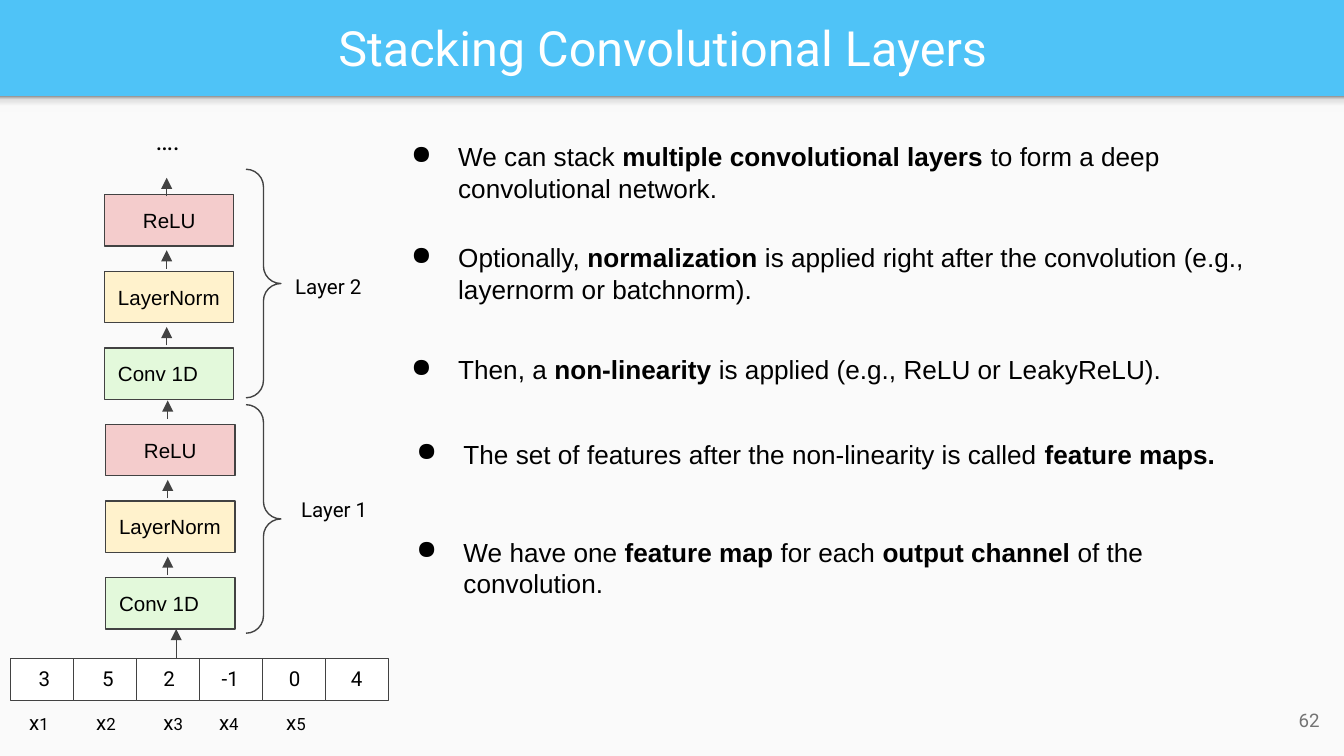
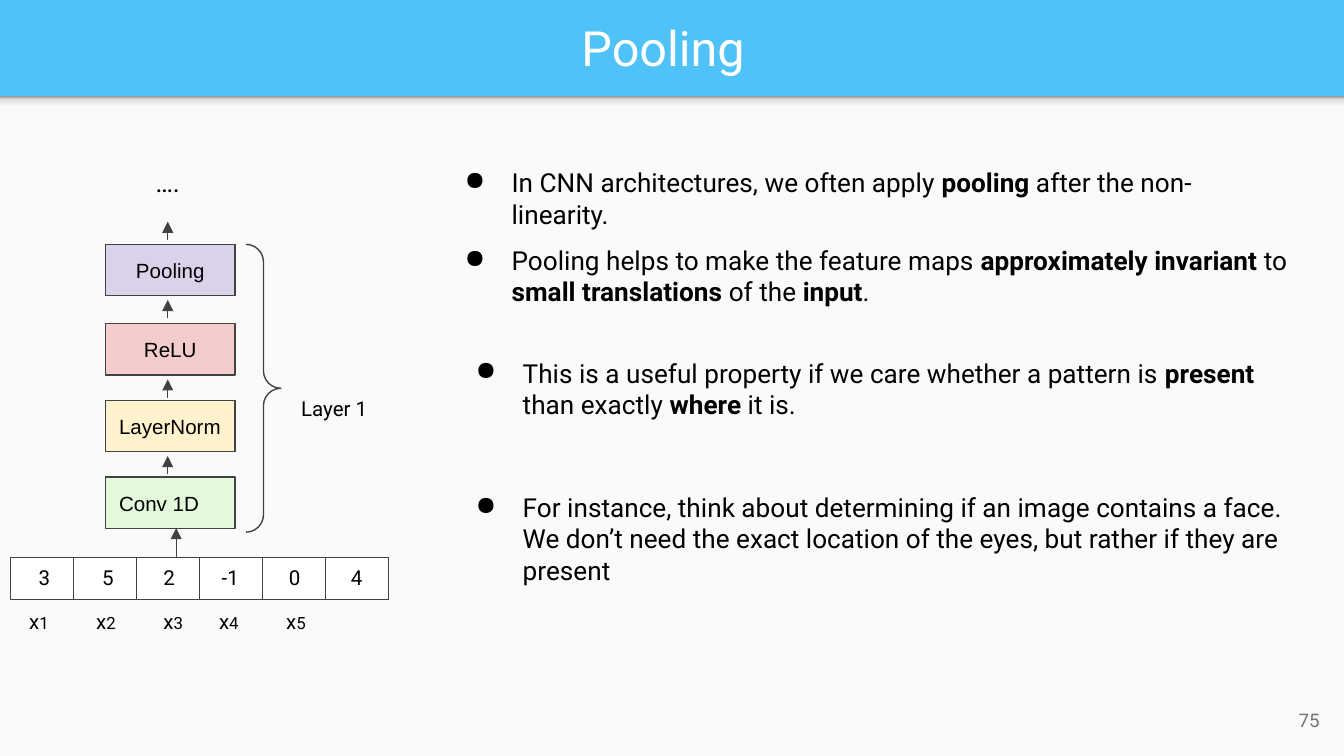
"""Build two slides on stacking convolutional layers and pooling."""
import dataclasses

import lxml.etree
import pptx
import pptx.dml.color
import pptx.enum.shapes
import pptx.enum.text
import pptx.oxml.ns
import pptx.util

Cm = pptx.util.Cm
Pt = pptx.util.Pt
RGB = pptx.dml.color.RGBColor.from_string
SHAPE = pptx.enum.shapes.MSO_SHAPE
ALIGN = pptx.enum.text.PP_ALIGN
ANCHOR = pptx.enum.text.MSO_ANCHOR
FIT = pptx.enum.text.MSO_AUTO_SIZE
qn = pptx.oxml.ns.qn


@dataclasses.dataclass(frozen=True)
class Theme:
    """Colours, fonts and type sizes shared by the slides."""
    band: str = "4FC3F7"
    page: str = "FAFAFA"
    ink: str = "000000"
    line: str = "424242"
    white: str = "FFFFFF"
    muted: str = "737373"
    conv: str = "E3F9DB"
    norm: str = "FFF2CC"
    relu: str = "F4CCCC"
    pool: str = "D9D2E9"
    shade: tuple = ((0, "F9F9F9"), (36, "F9F9F9"), (80, "DEDEDE"), (100, "999999"))
    sans: str = "Roboto"
    plain: str = "Arial"
    title: int = 26
    body: int = 14
    label: int = 11
    number: int = 10
    index: int = 9
    stroke: float = 0.75


T = Theme()
BLOCKS = {
    "Conv 1D": (T.conv, ALIGN.LEFT),
    "LayerNorm": (T.norm, ALIGN.LEFT),
    "ReLU": (T.relu, ALIGN.CENTER),
    "Pooling": (T.pool, ALIGN.CENTER),
}
CONV_LAYER = ("Conv 1D", "LayerNorm", "ReLU")
BLOCK_W, BLOCK_H, BLOCK_STEP = 2.44, 0.97, 1.45
CELL_LEFT, CELL_W, CELL_H = 0.2, 1.19, 0.79
VALUES = (("3", 0.48, 0.66), ("5", 1.68, 0.66), ("2", 2.84, 0.66),
          ("-1", 3.94, 0.91), ("0", 5.21, 0.91), ("4", 6.38, 0.91))
INDICES = (("1", 0.3, 1.37), ("2", 1.57, 0.91), ("3", 2.84, 1.37),
           ("4", 3.89, 1.37), ("5", 5.16, 1.37))


def apply(obj, formats):
    """Set each attribute named in formats."""
    for name, value in formats.items():
        setattr(obj, name, value)


def place(left, top, width, height):
    """Convert a box in centimetres to lengths."""
    return [Cm(v) for v in (left, top, width, height)]


def write(tf, runs, size=T.label, font=T.sans, color=T.ink, align=ALIGN.LEFT,
          anchor=ANCHOR.TOP, fit=FIT.NONE):
    """Fill a text frame with one paragraph of (text, formats) runs."""
    margins = dict.fromkeys(("margin_left", "margin_top", "margin_right",
                             "margin_bottom"), Cm(0.25))
    apply(tf, {"word_wrap": True, "auto_size": fit, "vertical_anchor": anchor, **margins})
    p = tf.paragraphs[0]
    p.alignment = align
    for text, formats in runs:
        r = p.add_run()
        r.text = text
        apply(r.font, {"name": font, "size": Pt(size), **formats})
        r.font.color.rgb = RGB(color)


def add_text(s, box, runs, **style):
    """Add a text box that grows with its text."""
    sp = s.shapes.add_textbox(*place(*box))
    write(sp.text_frame, runs, **{"fit": FIT.SHAPE_TO_FIT_TEXT, **style})
    return sp


def add_box(s, box, fill=None, line=T.line, kind=SHAPE.RECTANGLE):
    """Add a flat preset shape."""
    sp = s.shapes.add_shape(kind, *place(*box))
    sp.shadow.inherit = False
    if fill:
        sp.fill.solid()
        sp.fill.fore_color.rgb = RGB(fill)
    else:
        sp.fill.background()
    if line:
        sp.line.color.rgb = RGB(line)
        sp.line.width = Pt(T.stroke)
    else:
        sp.line.fill.background()
    return sp


def add_arrow(s, x, start, end):
    """Add a vertical arrow pointing at end."""
    sp = s.shapes.add_connector(pptx.enum.shapes.MSO_CONNECTOR.STRAIGHT,
                                Cm(x), Cm(start), Cm(x), Cm(end))
    sp.line.color.rgb = RGB(T.line)
    sp.line.width = Pt(T.stroke)
    ln = sp.line._get_or_add_ln()
    lxml.etree.SubElement(ln, qn("a:tailEnd"), type="triangle")
    lxml.etree.SubElement(sp._element.spPr, qn("a:effectLst"))


def add_brace(s, top, height):
    """Add a right brace that spans one layer."""
    sp = add_box(s, (4.65, top, 0.66, height), kind=SHAPE.RIGHT_BRACE)
    sp.adjustments[0] = 0.5
    sp.adjustments[1] = 0.5


def add_blocks(s, names, left, top, exit_gap):
    """Stack blocks upwards from top, with an arrow leaving each one."""
    for i, name in enumerate(names):
        y = top - i * BLOCK_STEP
        fill, align = BLOCKS[name]
        sp = add_box(s, (left, y, BLOCK_W, BLOCK_H), fill)
        write(sp.text_frame, [(name, {})], font=T.plain, align=align, anchor=ANCHOR.MIDDLE)
        start = y - (exit_gap if i == len(names) - 1 else 0.05)
        add_arrow(s, left + 1.17, start, start - 0.35)


def add_input(s, top):
    """Draw the input cells, their values and their indices."""
    add_arrow(s, 3.33, top + 0.05, top - 0.56)
    for i in range(len(VALUES)):
        add_box(s, (CELL_LEFT + i * CELL_W, top, CELL_W, CELL_H), T.white)
    for value, left, width in VALUES:
        add_text(s, (left, top - 0.1, width, 0.99), [(value, {})])
    for index, left, width in INDICES:
        add_text(s, (left, top + 0.74, width, 0.99),
                 [("x", {}), (index, {"size": Pt(T.index)})])


def add_layer_label(s, text, left, top):
    """Name a layer beside its brace."""
    add_text(s, (left, top, 2.2, 0.99), [(text, {})])


def add_dots(s, top):
    """Show that the stack goes on."""
    add_text(s, (2.69, top, 1.65, 1.12), [("….", {})], size=T.body)


def add_bullet(s, box, text, font):
    """Add one bullet; text between asterisks is bold."""
    runs = [(part, {"bold": i % 2 == 1})
            for i, part in enumerate(text.split("*")) if part]
    sp = add_text(s, box, runs, size=T.body, font=font)
    pPr = sp.text_frame.paragraphs[0]._p.get_or_add_pPr()
    pPr.set("marL", str(Cm(1.27)))
    pPr.set("indent", str(Cm(-0.89)))
    clr = lxml.etree.SubElement(pPr, qn("a:buClr"))
    lxml.etree.SubElement(clr, qn("a:srgbClr"), val=T.ink)
    lxml.etree.SubElement(pPr, qn("a:buChar"), char="●")


def add_shade(s):
    """Add the soft shadow below the title band."""
    sp = add_box(s, (0, 1.82, 25.4, 0.3), line=None)
    sp.fill.gradient()
    sp.fill.gradient_angle = 90
    stops = sp._element.spPr.find(".//" + qn("a:gsLst"))
    for stop in list(stops):
        stops.remove(stop)
    for percent, color in T.shade:
        gs = lxml.etree.SubElement(stops, qn("a:gs"), pos=str(percent * 1000))
        lxml.etree.SubElement(gs, qn("a:srgbClr"), val=color)


def new_slide(prs, title, number):
    """Add a slide with its band, title and number."""
    s = prs.slides.add_slide(prs.slide_layouts[5])
    add_box(s, (0, 1.82, 25.4, 12.47), T.page, None)
    add_shade(s)
    sp = s.shapes.title
    apply(sp, dict(zip(("left", "top", "width", "height"), place(0.28, 0.05, 24.51, 1.68))))
    write(sp.text_frame, [(title, {})], size=T.title, color=T.white,
          align=ALIGN.CENTER, anchor=ANCHOR.MIDDLE)
    add_text(s, (23.67, 13.06, 1.52, 1.09), [(number, {})], size=T.number, color=T.muted,
             align=ALIGN.RIGHT, anchor=ANCHOR.MIDDLE, fit=FIT.NONE)
    return s


def build_stacking(prs):
    """Build the slide with two stacked layers."""
    s = new_slide(prs, "Stacking Convolutional Layers", "62")
    add_input(s, 12.45)
    add_blocks(s, CONV_LAYER, 2.0, 10.92, 0.1)
    add_blocks(s, CONV_LAYER, 1.98, 6.58, -0.03)
    add_dots(s, 2.11)
    for top in (7.65, 3.2):
        add_brace(s, top, 4.32)
    add_layer_label(s, "Layer 1", 5.44, 9.17)
    add_layer_label(s, "Layer 2", 5.33, 4.95)
    for box, text in (
        ((7.14, 2.41, 17.91, 1.7),
         "We can stack* multiple convolutional layers* to form a deep convolutional network."),
        ((7.14, 4.32, 17.91, 1.7),
         "Optionally, *normalization* is applied right after the convolution "
         "(e.g., layernorm or batchnorm)."),
        ((7.14, 6.43, 15.95, 1.12),
         "Then, a *non-linearity* is applied (e.g., ReLU or LeakyReLU)."),
        ((7.24, 8.03, 17.2, 1.12),
         "The set of features after the non-linearity is called *feature maps.*"),
        ((7.24, 9.88, 17.2, 1.7),
         "We have one *feature map* for each *output channel* of the convolution."),
    ):
        add_bullet(s, box, text, T.plain)


def build_pooling(prs):
    """Build the slide with a pooling block on top of one layer."""
    s = new_slide(prs, "Pooling", "75")
    add_input(s, 10.54)
    add_blocks(s, CONV_LAYER, 2.0, 9.02, 0.1)
    add_blocks(s, ("Pooling",), 2.0, 4.62, 0.08)
    add_dots(s, 2.9)
    add_brace(s, 4.62, 5.44)
    add_layer_label(s, "Layer 1", 5.44, 7.26)
    for left, top, height, text in (
        (8.15, 2.9, 1.7,
         "In CNN architectures, we often apply *pooling* after the non-linearity."),
        (8.15, 4.37, 1.7,
         "Pooling helps to make the feature maps *approximately invariant* to "
         "*small translations* of the *input*."),
        (8.36, 6.5, 1.7,
         "This is a useful property if we care whether a pattern is *present *"
         "than exactly *where* it is."),
        (8.36, 9.04, 2.31,
         "For instance, think about determining if an image contains a face. We don’t need "
         "the exact location of the eyes, but rather if they are present"),
    ):
        add_bullet(s, (left, top, 16.43, height), text, T.sans)


def main():
    """Build and save the presentation."""
    prs = pptx.Presentation()
    apply(prs, {"slide_width": Cm(25.4), "slide_height": Cm(14.29)})
    fill = prs.slide_master.background.fill
    fill.solid()
    fill.fore_color.rgb = RGB(T.band)
    build_stacking(prs)
    build_pooling(prs)
    prs.save("out.pptx")


if __name__ == "__main__":
    main()
